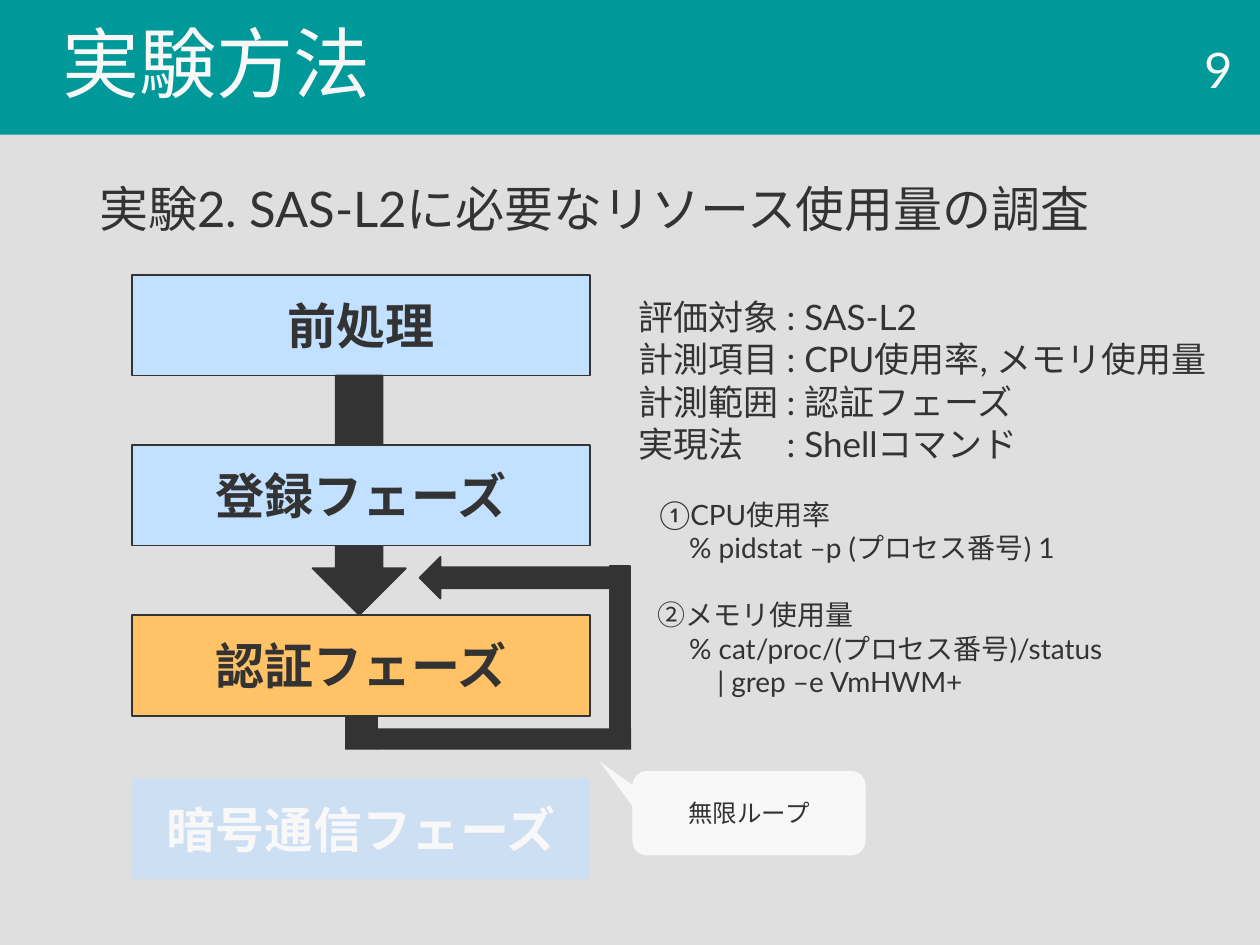
from lxml.etree import SubElement
from pptx import Presentation
from pptx.dml.color import RGBColor
from pptx.enum.shapes import MSO_SHAPE
from pptx.enum.text import MSO_ANCHOR, PP_ALIGN
from pptx.oxml.ns import qn
from pptx.util import Pt

COLORS = {
    "background": "DFDFDF",
    "header": "009999",
    "dark": "333333",
    "light": "F8F8F8",
    "blue": "C2E0FF",
    "orange": "FFC266",
}


class SlideBuilder:
    """Holds the style and the current slide, and adds each kind of element."""

    font = "Lato"

    def __init__(self, presentation):
        self.slide = presentation.slides.add_slide(presentation.slide_layouts[6])
        fill = self.slide.background.fill
        fill.solid()
        fill.fore_color.rgb = self.color("background")

    def color(self, name):
        return RGBColor.from_string(COLORS[name])

    def style(self, paragraph, text, size, color="dark", bold=False, align=PP_ALIGN.LEFT):
        paragraph.text = text
        paragraph.alignment = align
        paragraph.font.name = self.font
        paragraph.font.size = Pt(size)
        paragraph.font.bold = bold
        paragraph.font.color.rgb = self.color(color)

    def shape(self, kind, box, fill, outlined=False, rotation=0, opacity=None):
        shape = self.slide.shapes.add_shape(kind, *map(Pt, box))
        shape.shadow.inherit = False
        shape.rotation = rotation
        shape.fill.solid()
        shape.fill.fore_color.rgb = self.color(fill)
        if opacity is not None:
            color = next(shape.element.spPr.iter(qn("a:srgbClr")))
            SubElement(color, qn("a:alpha"), val=str(opacity * 1000))
        if outlined:
            shape.line.color.rgb = self.color("dark")
            shape.line.width = Pt(1)
        else:
            shape.line.fill.background()
        return shape

    def label(self, shape, text, size, color="dark", bold=False, align=PP_ALIGN.CENTER):
        frame = shape.text_frame
        frame.word_wrap = True
        frame.vertical_anchor = MSO_ANCHOR.MIDDLE
        self.style(frame.paragraphs[0], text, size, color, bold, align)
        return frame

    def phase(self, top, text, fill="blue", color="dark", outlined=True, opacity=None):
        box = (75.6, top, 261.4, 57.6)
        shape = self.shape(MSO_SHAPE.RECTANGLE, box, fill, outlined, opacity=opacity)
        self.label(shape, text, 28, color, bold=True)

    def text(self, box, lines):
        frame = self.slide.shapes.add_textbox(*map(Pt, box)).text_frame
        frame.word_wrap = True
        for index, (text, size, indent, space) in enumerate(lines):
            paragraph = frame.add_paragraph() if index else frame.paragraphs[0]
            self.style(paragraph, text, size)
            paragraph.space_before = Pt(space)
            if indent:
                paragraph._p.get_or_add_pPr().set("marL", str(Pt(indent)))
        return frame


def main():
    presentation = Presentation()
    presentation.slide_width, presentation.slide_height = Pt(720), Pt(540)
    builder = SlideBuilder(presentation)

    heading = builder.text(
        (49.7, 102.2, 620.6, 384.5),
        [("実験2. SAS-L2に必要なリソース使用量の調査", 28, 0, 0)],
    )
    heading.paragraphs[0].line_spacing = 0.9

    builder.phase(445, "暗号通信フェーズ", color="light", outlined=False, opacity=61)
    builder.phase(351.4, "認証フェーズ", fill="orange")
    builder.phase(157, "前処理")

    header = builder.shape(MSO_SHAPE.RECTANGLE, (0, 0, 720, 77), "header")
    title = builder.label(header, "実験方法", 44, "light", align=PP_ALIGN.LEFT)
    title.margin_left = Pt(36)
    title.paragraphs[0].line_spacing = 0.9
    number = builder.slide.shapes.add_textbox(Pt(549.4), Pt(25.2), Pt(162), Pt(28.8))
    builder.label(number, "9", 28, "light", align=PP_ALIGN.RIGHT)

    builder.text(
        (357.8, 165.6, 340.6, 239.8),
        [
            ("評価対象 : SAS-L2", 20, 0, 0),
            ("計測項目 : CPU使用率, メモリ使用量", 20, 0, 0),
            ("計測範囲 : 認証フェーズ", 20, 0, 0),
            ("実現法 　: Shellコマンド", 20, 0, 0),
            ("①CPU使用率", 16, 12, 19),
            ("% pidstat –p (プロセス番号) 1", 16, 29, 0),
            ("②メモリ使用量", 16, 11, 19),
            ("% cat/proc/(プロセス番号)/status", 16, 29, 0),
            ("| grep –e VmHWM+", 16, 45, 0),
        ],
    )

    for kind, box, outlined, rotation in [
        (MSO_SHAPE.DOWN_ARROW, (178.6, 214.6, 53.3, 136.8), True, 0),
        (MSO_SHAPE.RECTANGLE, (215.3, 416.2, 145.4, 12.2), False, 0),
        (MSO_SHAPE.RECTANGLE, (307.4, 364.3, 93.6, 11.5), True, 270),
        (MSO_SHAPE.DOWN_ARROW, (282.2, 275.8, 23.8, 108.7), True, 90),
        (MSO_SHAPE.RECTANGLE, (197.3, 409, 18.7, 19.4), False, 0),
    ]:
        builder.shape(kind, box, "dark", outlined, rotation)

    callout = builder.shape(
        MSO_SHAPE.ROUNDED_RECTANGULAR_CALLOUT, (361.4, 440.6, 133.2, 48.2), "light"
    )
    callout.adjustments[0] = -0.64
    callout.adjustments[1] = -0.61
    callout.adjustments[2] = 0.17
    builder.label(callout, "無限ループ", 14)

    builder.phase(254.2, "登録フェーズ")
    presentation.save("out.pptx")


if __name__ == "__main__":
    main()
